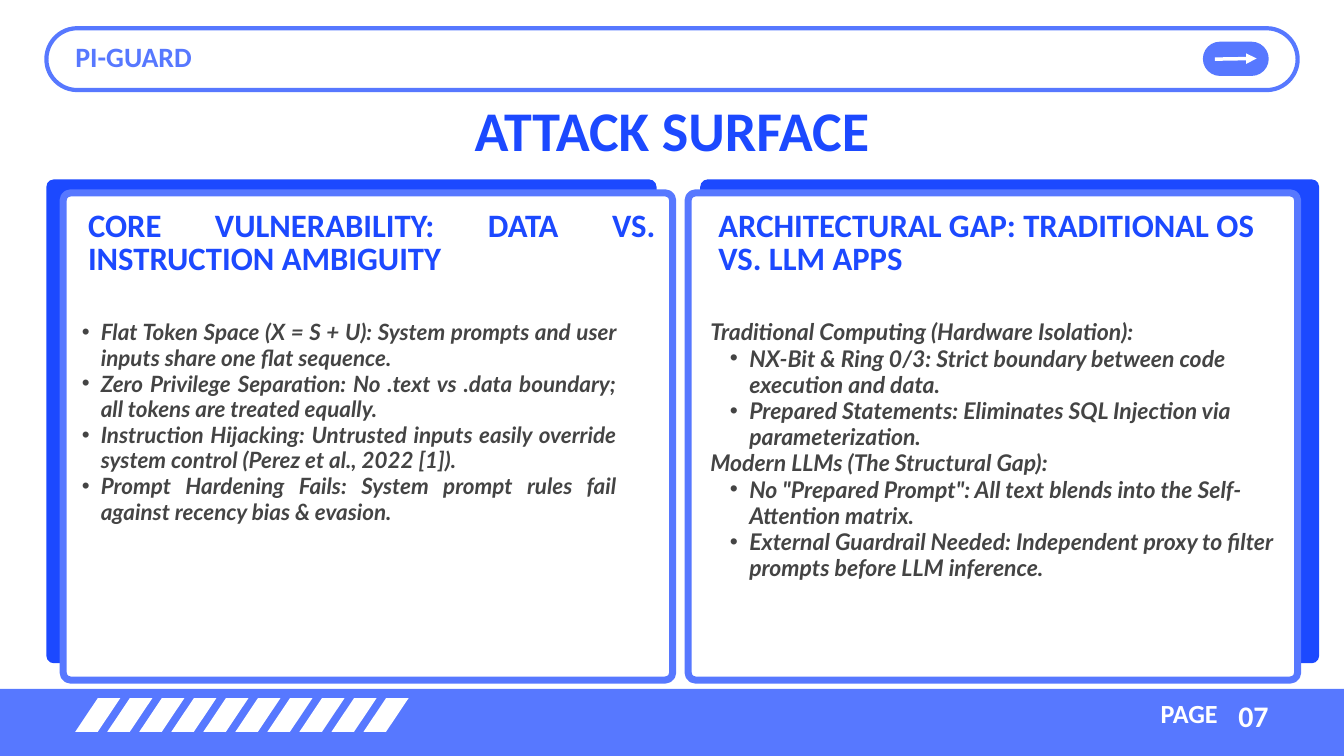
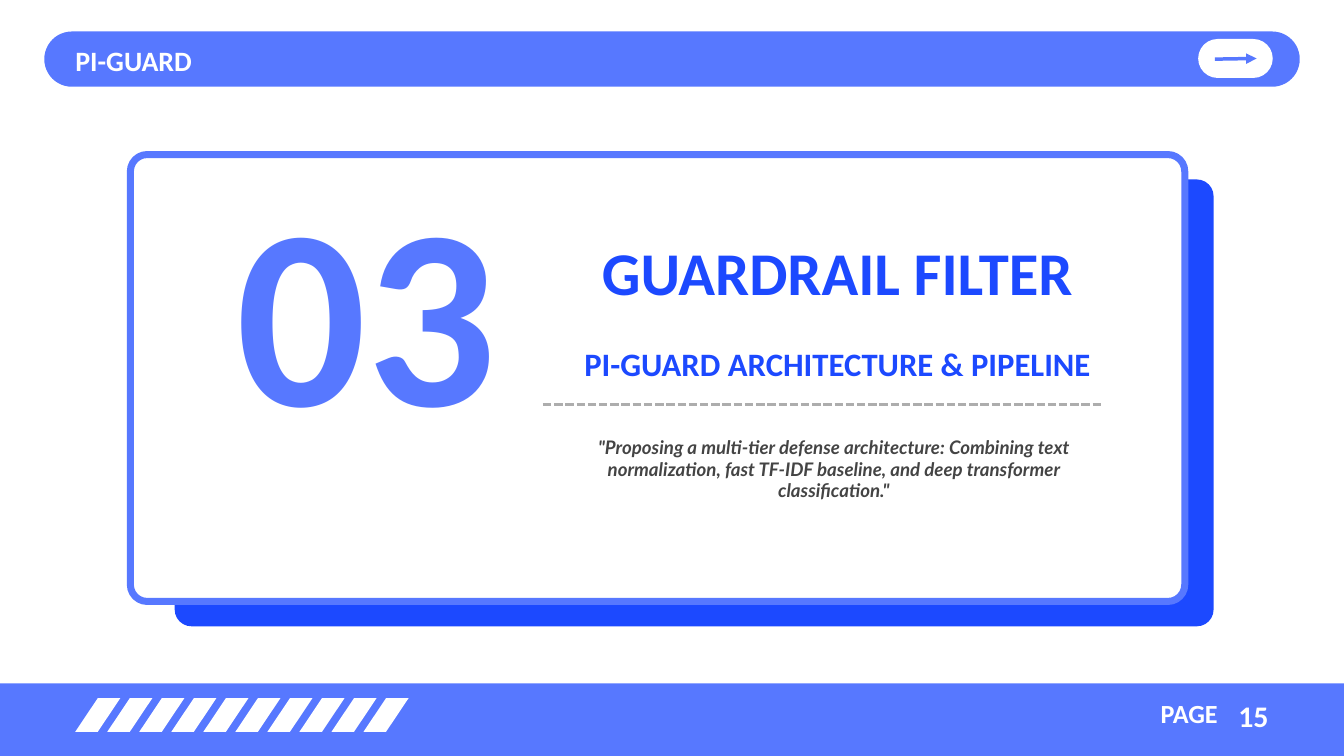
import pptx
import pptx.dml.color
import pptx.enum.dml
import pptx.enum.shapes
import pptx.enum.text
import pptx.oxml
import pptx.oxml.ns
import pptx.util
from pptx.util import Inches

BLUE, DEEP, WHITE, GREY, RULE = "5778FF", "1C49FF", "FFFFFF", "444444", "ADADAD"
SHAPE = pptx.enum.shapes.MSO_SHAPE
ALIGN = pptx.enum.text.PP_ALIGN
W, H = 20, 11.25

# Text styles: font, size, colour, line spacing in points, italic
BRAND = ("Calibri", 30, BLUE, 42, False)
BRAND_WHITE = ("Calibri", 30, WHITE, 42, False)
PAGE_WORD = ("Calibri", 28, WHITE, 28.3, False)
PAGE_NUMBER = ("Calibri", 32, WHITE, 44.8, False)
TITLE = ("Calibri", 60, DEEP, 60.6, False)
SECTION_TITLE = ("Calibri", 65, DEEP, 45.5, False)
SECTION_NUMBER = ("Calibri", 275, BLUE, 277.8, False)
HEADING = ("Calibri", 35, DEEP, 35.4, False)
QUOTE = ("Lato", 20, GREY, 22.8, True)

# Each card: frame, shadow, heading and body boxes; paragraphs are (bulleted, text)
CARDS = [
    {
        "shadow": (0.69, 2.67, 9.08, 7.2),
        "frame": (0.94, 2.87, 9.07, 7.25),
        "align": ALIGN.JUSTIFY,
        "heading": "CORE VULNERABILITY: DATA VS. INSTRUCTION AMBIGUITY",
        "heading_box": (1.31, 3.14, 8.45, 1),
        "body_box": (0.94, 4.76, 8.23, 3.37),
        "style": ("Lato", 24, GREY, 27.4, True),
        "indent": 0.28,
        "body": [
            (True, "Flat Token Space (X = S + U): System prompts and user inputs share one flat sequence."),
            (True, "Zero Privilege Separation: No .text vs .data boundary; all tokens are treated equally."),
            (True, "Instruction Hijacking: Untrusted inputs easily override system control "
                   "(Perez et al., 2022 [1])."),
            (True, "Prompt Hardening Fails: System prompt rules fail against recency bias & evasion."),
        ],
    },
    {
        "shadow": (10.42, 2.67, 9.21, 7.2),
        "frame": (10.24, 2.87, 9.07, 7.25),
        "align": ALIGN.LEFT,
        "heading": "ARCHITECTURAL GAP: TRADITIONAL OS VS. LLM APPS",
        "heading_box": (10.69, 3.14, 8.42, 1.49),
        "body_box": (10.57, 4.75, 8.66, 4.24),
        "style": ("Lato", 24.6, GREY, 28.1, True),
        "indent": 0.29,
        "body": [
            (False, "Traditional Computing (Hardware Isolation):"),
            (True, "NX-Bit & Ring 0/3: Strict boundary between code execution and data."),
            (True, "Prepared Statements: Eliminates SQL Injection via parameterization."),
            (False, "Modern LLMs (The Structural Gap):"),
            (True, 'No "Prepared Prompt": All text blends into the Self-Attention matrix.'),
            (True, "External Guardrail Needed: Independent proxy to filter prompts before LLM inference."),
        ],
    },
]
SECTION = {
    "number": "03",
    "title": "GUARDRAIL FILTER",
    "subtitle": "PI-GUARD ARCHITECTURE & PIPELINE",
    "quote": '"Proposing a multi-tier defense architecture: Combining text normalization, '
             'fast TF-IDF baseline, and deep transformer classification."',
}


def color(value):
    return pptx.dml.color.RGBColor.from_string(value)


def add_box(s, kind, box, fill, line=None, width=0, adjust=None):
    sp = s.shapes.add_shape(kind, *map(Inches, box))
    sp.shadow.inherit = False
    sp.fill.solid()
    sp.fill.fore_color.rgb = color(fill)
    if line:
        sp.line.color.rgb = color(line)
        sp.line.width = pptx.util.Pt(width)
    else:
        sp.line.fill.background()
    if adjust is not None:
        sp.adjustments[0] = adjust
    return sp


def add_rounded(s, box, radius, fill, line=None, width=0):
    return add_box(s, SHAPE.ROUNDED_RECTANGLE, box, fill, line, width, radius / min(box[2:]))


def add_pill(s, box, fill, line=None, width=0):
    return add_rounded(s, box, min(box[2:]) / 2, fill, line, width)


def add_line(s, start, end, rgb, width, dash=None, arrow=False):
    c = s.shapes.add_connector(pptx.enum.shapes.MSO_CONNECTOR.STRAIGHT, *map(Inches, start + end))
    c.line.color.rgb = color(rgb)
    c.line.width = pptx.util.Pt(width)
    if dash:
        c.line.dash_style = dash
    qn = pptx.oxml.ns.qn
    spPr = c.element.spPr
    if arrow:
        tail = spPr.find(qn("a:ln")).makeelement(qn("a:tailEnd"), {"type": "triangle"})
        spPr.find(qn("a:ln")).append(tail)
    spPr.append(spPr.makeelement(qn("a:effectLst"), {}))


def set_bullet(p, indent):
    """Give the paragraph a hanging bullet, or none when indent is 0."""
    pPr = p._p.get_or_add_pPr()
    pPr.set("marL", str(Inches(2 * indent)))
    pPr.set("indent", str(Inches(-indent)))
    qn = pptx.oxml.ns.qn
    if indent:
        pPr.append(pPr.makeelement(qn("a:buChar"), {"char": "•"}))
        p.level = 1
    else:
        pPr.append(pPr.makeelement(qn("a:buNone"), {}))


def write(s, box, paragraphs, style, align=ALIGN.LEFT, indent=0, sp=None):
    """Fill a placeholder, or a new text box, with (bulleted, text) paragraphs and bring it to the front."""
    font, size, rgb, spacing, italic = style
    sp = sp or s.shapes.add_textbox(0, 0, 0, 0)
    sp.left, sp.top, sp.width, sp.height = map(Inches, box)
    s.shapes.element.append(sp.element)
    tf = sp.text_frame
    tf.word_wrap = True
    tf.auto_size = pptx.enum.text.MSO_AUTO_SIZE.NONE
    tf.vertical_anchor = pptx.enum.text.MSO_ANCHOR.TOP
    tf.margin_left = tf.margin_top = tf.margin_right = tf.margin_bottom = 0
    if isinstance(paragraphs, str):
        paragraphs = [(False, paragraphs)]
    for i, (bulleted, text) in enumerate(paragraphs):
        p = tf.add_paragraph() if i else tf.paragraphs[0]
        p.text = text
        set_bullet(p, indent if bulleted else 0)
        p.alignment = align
        p.line_spacing = pptx.util.Pt(spacing)
        p.space_before = p.space_after = pptx.util.Pt(0)
        for r in p.runs:
            r.font.name = font
            r.font.size = pptx.util.Pt(size)
            r.font.bold = True
            r.font.italic = italic
            r.font.color.rgb = color(rgb)


def add_header(s, bar, bar_fill, button, button_fill, arrow, brand_top, brand_style):
    add_pill(s, bar, bar_fill, BLUE, 4.5)
    add_pill(s, button, button_fill)
    add_line(s, (18.08, 0.88), (18.7, 0.87), arrow, 3.75, arrow=True)
    write(s, (1.12, brand_top, 15.05, 0.57), "PI-GUARD", brand_style)


def add_footer(s, top, number):
    add_box(s, SHAPE.RECTANGLE, (0, top, W, H - top), BLUE)
    stripes, first, last = 10, 1.12, 5.41
    for i in range(stripes):
        x = first + i * (last - first) / (stripes - 1)
        add_box(s, SHAPE.PARALLELOGRAM, (x, 10.39, 0.67, 0.5), WHITE, adjust=0.67)
    write(s, (17.38, 10.3, 1.5, 0.59), number, PAGE_NUMBER, ALIGN.RIGHT)
    write(s, (14.67, 10.45, 3.45, 0.41), "PAGE", PAGE_WORD, ALIGN.RIGHT)


def build_attack_surface(prs):
    s = prs.slides.add_slide(prs.slide_layouts.get_by_name("Comparison"))
    title, *slots = s.placeholders
    add_footer(s, 10.25, "07")
    add_header(s, (0.69, 0.42, 18.62, 0.92), WHITE, (17.9, 0.62, 0.98, 0.51), BLUE, WHITE, 0.51, BRAND)
    write(s, (1.32, 1.58, 17.36, 0.88), "ATTACK SURFACE", TITLE, ALIGN.CENTER, sp=title)
    for card in CARDS:
        add_rounded(s, card["shadow"], 0.11, DEEP)
    for i, card in enumerate(CARDS):
        heading, body = slots[2 * i:2 * i + 2]
        add_rounded(s, card["frame"], 0.11, WHITE, BLUE, 7.5)
        write(s, card["heading_box"], card["heading"], HEADING, card["align"], sp=heading)
        write(s, card["body_box"], card["body"], card["style"], card["align"], card["indent"], body)


def build_section(prs):
    s = prs.slides.add_slide(prs.slide_layouts.get_by_name("Section Header"))
    title, subtitle = s.placeholders
    add_footer(s, 10.17, "15")
    add_header(s, (0.69, 0.5, 18.62, 0.76), BLUE, (17.83, 0.58, 1.11, 0.58), WHITE, BLUE, 0.56, BRAND_WHITE)
    add_rounded(s, (2.6, 2.67, 15.46, 6.65), 0.25, DEEP)
    add_rounded(s, (1.94, 2.3, 15.69, 6.65), 0.25, WHITE, BLUE, 7.5)
    write(s, (2.39, 2.95, 6.14, 4.03), SECTION["number"], SECTION_NUMBER, ALIGN.CENTER)
    write(s, (7.97, 3.95, 8.99, 0.63), SECTION["title"], SECTION_TITLE, ALIGN.CENTER, sp=title)
    write(s, (7.97, 5.21, 8.99, 0.49), SECTION["subtitle"], HEADING, ALIGN.CENTER, sp=subtitle)
    add_line(s, (8.08, 6.02), (16.4, 6.02), RULE, 3, pptx.enum.dml.MSO_LINE.SQUARE_DOT)
    write(s, (8.53, 6.51, 7.76, 0.94), SECTION["quote"], QUOTE, ALIGN.CENTER)


def main():
    prs = pptx.Presentation()
    prs.slide_width, prs.slide_height = Inches(W), Inches(H)
    build_attack_surface(prs)
    build_section(prs)
    prs.save("out.pptx")


if __name__ == "__main__":
    main()
